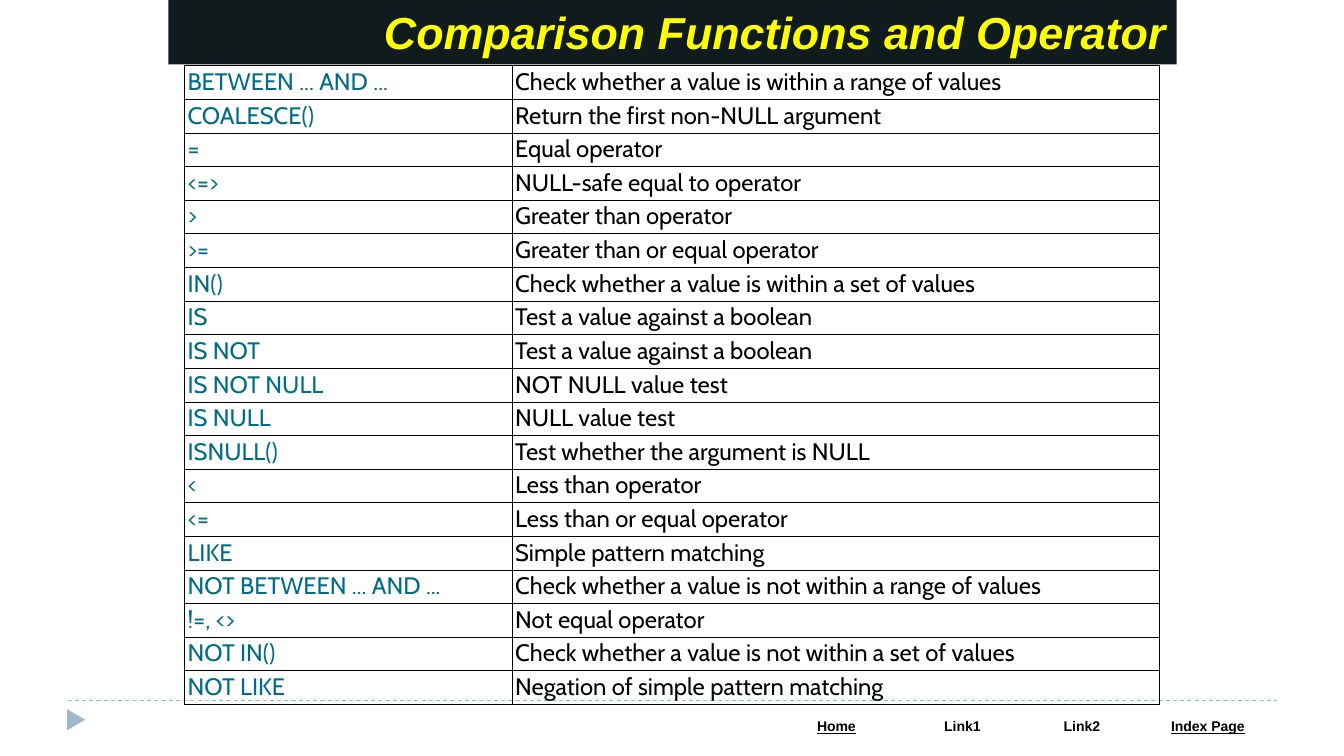
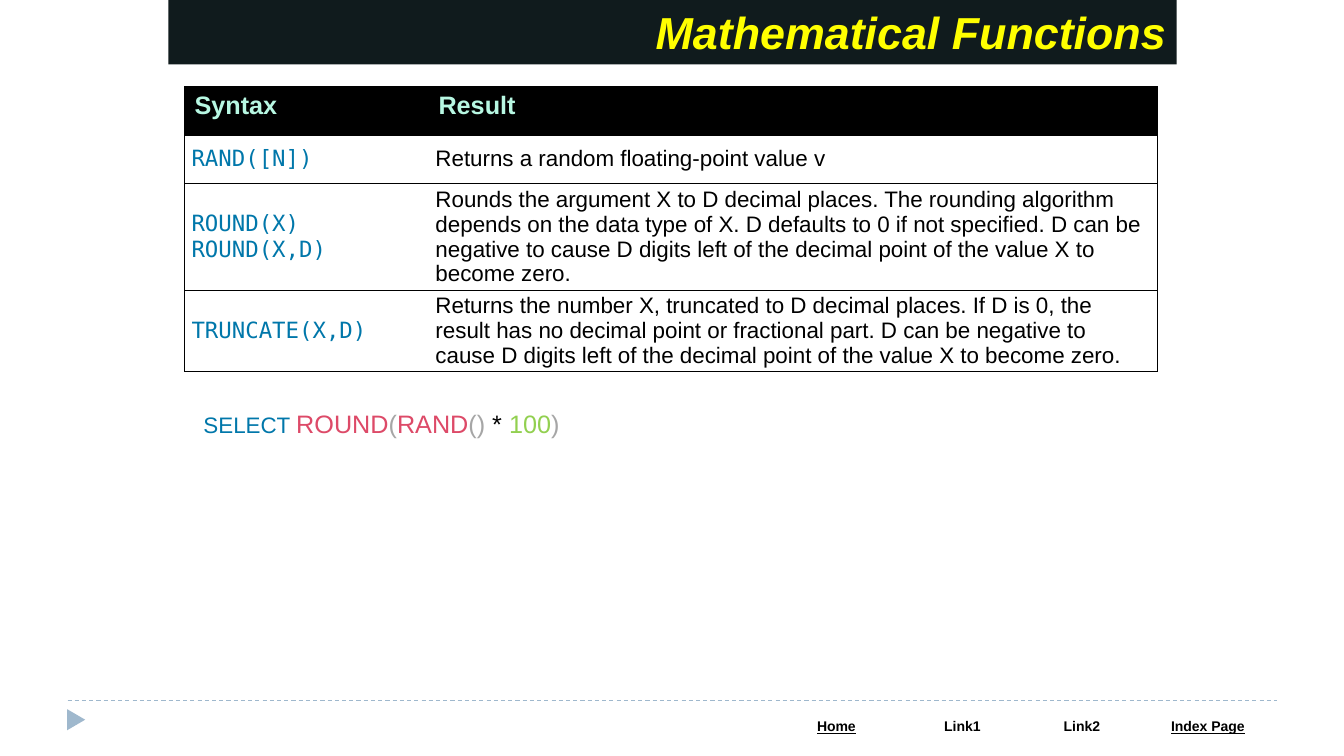
"""Builds two slides on SQL comparison and mathematical functions."""
from lxml.etree import SubElement
from pptx import Presentation
from pptx.dml.color import RGBColor
from pptx.enum.dml import MSO_LINE
from pptx.enum.shapes import MSO_CONNECTOR, MSO_SHAPE
from pptx.enum.text import MSO_ANCHOR, PP_ALIGN
from pptx.oxml.ns import qn
from pptx.util import Inches, Pt

COLORS = {
    "bar": "101B1D", "title": "FFFF00", "accent": "9FB8CD", "black": "000000",
    "white": "FFFFFF", "operator": "006C86", "syntax": "0077AA",
    "header": "B7F7E2", "function": "DD4A68", "bracket": "A6A6A6", "number": "92D050",
}
FOOTER = [("Home", 1.25, True), ("Link1", 1.25, False), ("Link2", 1.12, False), ("Index Page", 1.38, True)]
COMPARISONS = [
    ("BETWEEN ... AND ...", "Check whether a value is within a range of values"),
    ("COALESCE()", "Return the first non-NULL argument"),
    ("=", "Equal operator"),
    ("<=>", "NULL-safe equal to operator"),
    (">", "Greater than operator"),
    (">=", "Greater than or equal operator"),
    ("IN()", "Check whether a value is within a set of values"),
    ("IS", "Test a value against a boolean"),
    ("IS NOT", "Test a value against a boolean"),
    ("IS NOT NULL", "NOT NULL value test"),
    ("IS NULL", "NULL value test"),
    ("ISNULL()", "Test whether the argument is NULL"),
    ("<", "Less than operator"),
    ("<=", "Less than or equal operator"),
    ("LIKE", "Simple pattern matching"),
    ("NOT BETWEEN ... AND ...", "Check whether a value is not within a range of values"),
    ("!=, <>", "Not equal operator"),
    ("NOT IN()", "Check whether a value is not within a set of values"),
    ("NOT LIKE", "Negation of simple pattern matching"),
]
MATH_FUNCTIONS = [
    ("Syntax", "Result", 0.48),
    ("RAND([N])", "Returns a random floating-point value v", 0.48),
    ("ROUND(X)\nROUND(X,D)", "Rounds the argument X to D decimal places. The rounding algorithm "
     "depends on the data type of X. D defaults to 0 if not specified. D can be negative to cause "
     "D digits left of the decimal point of the value X to become zero.", 1.06),
    ("TRUNCATE(X,D)", "Returns the number X, truncated to D decimal places. If D is 0, the result "
     "has no decimal point or fractional part. D can be negative to cause D digits left of the "
     "decimal point of the value X to become zero.", 0.81),
]
QUERY = [
    ("SELECT ", 16, "syntax"), ("ROUND", 18, "function"), ("(", 18, "bracket"),
    ("RAND", 18, "function"), ("() ", 18, "bracket"), ("* ", 18, "black"),
    ("100", 18, "number"), (")", 18, "bracket"),
]


def add_grid(page, left, top, widths, heights):
    """Adds a table without banding and returns it."""
    table = page.shapes.add_table(
        len(heights), len(widths), Inches(left), Inches(top),
        Inches(sum(widths)), Inches(sum(heights))).table
    table.first_row = table.horz_banding = False
    for column, width in zip(table.columns, widths):
        column.width = Inches(width)
    for row, height in zip(table.rows, heights):
        row.height = Inches(height)
    return table


def write_cell(cell, text, margins, edges, line_width, font_name, size, color, bold=False, fill=None):
    """Fills in a cell, drawing a black line on the named edges only."""
    cell.margin_left = cell.margin_right = Inches(margins[0])
    cell.margin_top = cell.margin_bottom = Inches(margins[1])
    properties = cell._tc.get_or_add_tcPr()
    for edge in "LRTB":
        line = SubElement(properties, qn(f"a:ln{edge}"), w=str(Pt(line_width)))
        if edge in edges:
            solid = SubElement(line, qn("a:solidFill"))
            SubElement(solid, qn("a:srgbClr"), val=COLORS["black"])
        else:
            SubElement(line, qn("a:noFill"))
    if fill:
        cell.fill.solid()
        cell.fill.fore_color.rgb = RGBColor.from_string(COLORS[fill])
    else:
        cell.fill.background()
    cell.text_frame.text = text
    for para in cell.text_frame.paragraphs:
        para.font.name = font_name
        para.font.size = Pt(size)
        para.font.bold = bold
        para.font.color.rgb = RGBColor.from_string(COLORS[color])


deck = Presentation()
deck.slide_width, deck.slide_height = Inches(13.33), Inches(7.5)

pages = []
for title in ("Comparison Functions and Operator", "Mathematical Functions"):
    page = deck.slides.add_slide(deck.slide_layouts[6])
    pages.append(page)

    marker = page.shapes.add_shape(
        MSO_SHAPE.ISOSCELES_TRIANGLE, Inches(0.65), Inches(7.05), Inches(0.21), Inches(0.18))
    marker.rotation = 90
    bar = page.shapes.add_shape(MSO_SHAPE.RECTANGLE, Inches(1.67), 0, Inches(10), Inches(0.64))
    for shape, color in ((marker, "accent"), (bar, "bar")):
        shape.shadow.inherit = False
        shape.fill.solid()
        shape.fill.fore_color.rgb = RGBColor.from_string(COLORS[color])
        shape.line.fill.background()

    bar.text_frame.text = title
    bar.text_frame.vertical_anchor = MSO_ANCHOR.TOP
    para = bar.text_frame.paragraphs[0]
    para.alignment = PP_ALIGN.RIGHT
    para.font.name = "Arial"
    para.font.size = Pt(32)
    para.font.bold = para.font.italic = True
    para.font.color.rgb = RGBColor.from_string(COLORS["title"])

    rule = page.shapes.add_connector(
        MSO_CONNECTOR.STRAIGHT, Inches(0.67), Inches(6.95), Inches(12.67), Inches(6.95))
    rule.line.color.rgb = RGBColor.from_string(COLORS["accent"])
    rule.line.width = Pt(0.75)
    rule.line.dash_style = MSO_LINE.DASH
    SubElement(rule._element.spPr, qn("a:effectLst"))

    footer = add_grid(page, 7.67, 7.08, [width for _, width, _ in FOOTER], [0.27])
    for cell, (label, _, underlined) in zip(footer.rows[0].cells, FOOTER):
        write_cell(cell, label, (0.13, 0.05), "", 1, "Arial", 10, "black", True, "white")
        para = cell.text_frame.paragraphs[0]
        para.alignment = PP_ALIGN.CENTER
        para.font.underline = underlined

comparison_page, math_page = pages

row_height = 6.34 / len(COMPARISONS)
comparison_table = add_grid(
    comparison_page, 1.83, 0.65, [3.25, 6.42], [row_height] * len(COMPARISONS))
for row, texts in zip(comparison_table.rows, COMPARISONS):
    for cell, text, color in zip(row.cells, texts, ("operator", "black")):
        write_cell(cell, text, (0.03, 0.02), "LRTB", 0.25, "Cabin", 17, color)

math_table = add_grid(
    math_page, 1.83, 0.86, [2.42, 7.23], [height for _, _, height in MATH_FUNCTIONS])
math_columns = (("LTB", "DejaVu Sans Mono", "syntax"), ("RTB", "Arial", "black"))
for index, (syntax, result, _) in enumerate(MATH_FUNCTIONS):
    cells = math_table.rows[index].cells
    for cell, text, (edges, font_name, color) in zip(cells, (syntax, result), math_columns):
        if index == 0:
            write_cell(cell, text, (0.1, 0.05), edges, 0.75, "Arial", 18, "header", True, "black")
        else:
            write_cell(cell, text, (0.07, 0), edges, 0.75, font_name, 16, color)
            cell.vertical_anchor = MSO_ANCHOR.MIDDLE

query_box = math_page.shapes.add_textbox(Inches(1.92), Inches(4), Inches(9.5), Inches(0.4))
query_box.text_frame.word_wrap = True
para = query_box.text_frame.paragraphs[0]
for text, size, color in QUERY:
    span = para.add_run()
    span.text = text
    span.font.name = "Arial"
    span.font.size = Pt(size)
    span.font.color.rgb = RGBColor.from_string(COLORS[color])

deck.save("out.pptx")
